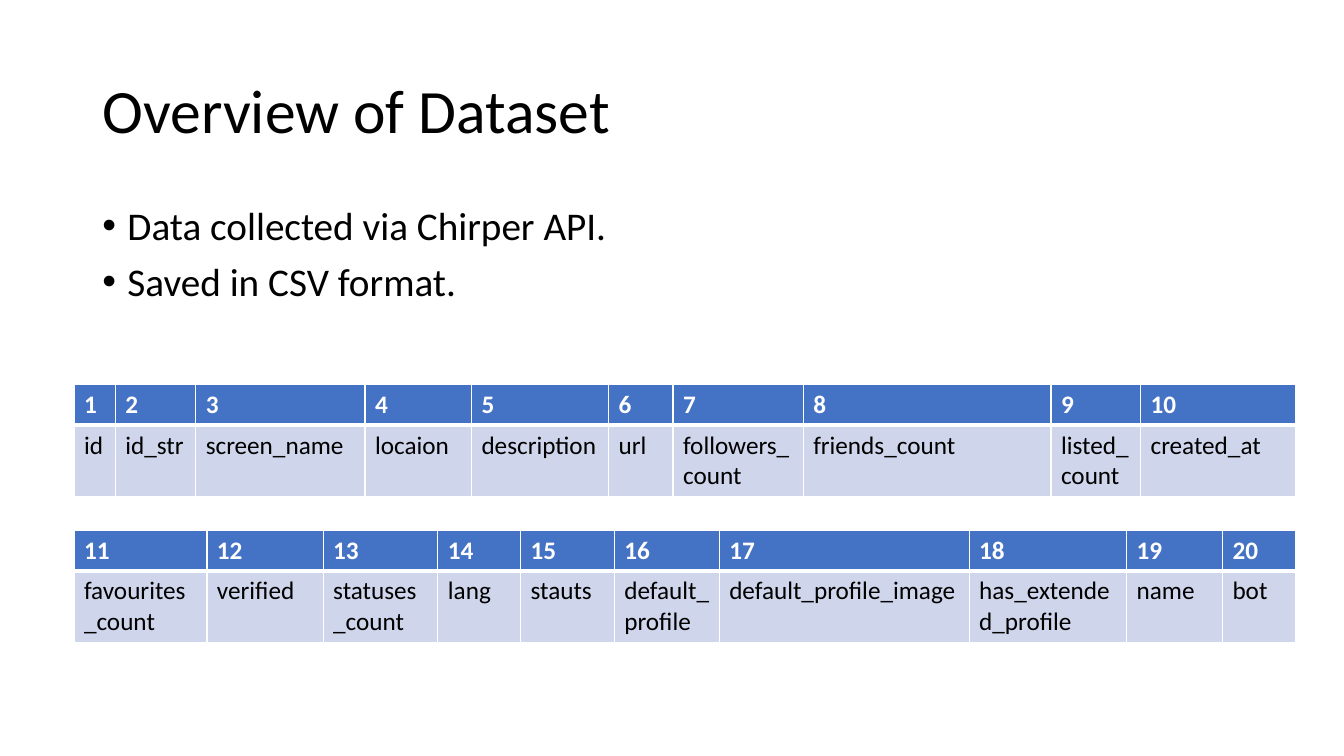
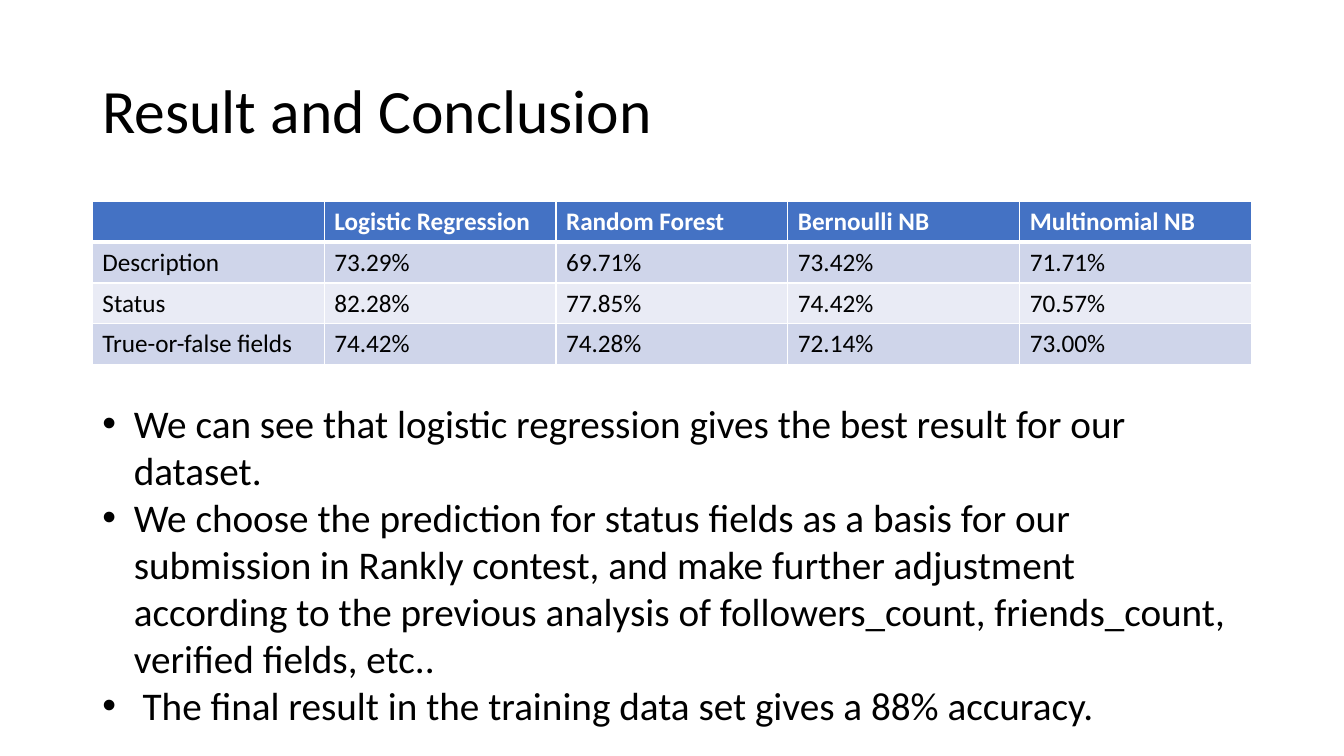
from dataclasses import dataclass

from lxml import etree
from pptx import Presentation
from pptx.dml.color import RGBColor
from pptx.enum.text import MSO_ANCHOR, MSO_AUTO_SIZE, PP_ALIGN
from pptx.oxml.ns import qn
from pptx.slide import Slide
from pptx.table import _Cell
from pptx.text.text import TextFrame, _Paragraph
from pptx.util import Pt

MIDDLE, TOP = MSO_ANCHOR.MIDDLE, MSO_ANCHOR.TOP
NO_FIT = MSO_AUTO_SIZE.NONE
LEFT = PP_ALIGN.LEFT

# Shared style
BLACK = RGBColor(0x00, 0x00, 0x00)
WHITE = RGBColor(0xFF, 0xFF, 0xFF)
HEADER_BLUE = RGBColor(0x44, 0x72, 0xC4)
BANDS = (RGBColor(0xCF, 0xD5, 0xEA), RGBColor(0xE9, 0xEB, 0xF5))
FONT = "Calibri"
TITLE_SIZE, BODY_SIZE, TABLE_SIZE = 44, 28, 18
MARGIN, CONTENT_WIDTH = 66, 828
ROW_HEIGHT = 29.2
THIN_RULE, HEADER_RULE = 1, 3
TITLE_ONLY = 5


@dataclass(frozen=True)
class Grid:
    left: float
    top: float
    widths: tuple[float, ...]
    rows: tuple[tuple[str, ...], ...]


@dataclass(frozen=True)
class BulletList:
    top: float
    width: float
    height: float
    indent: float
    items: tuple[str, ...]
    line_spacing: float = 1.0
    space_before: float = 0


@dataclass(frozen=True)
class Page:
    title: str
    grids: tuple[Grid, ...]
    bullets: BulletList


def add_span(para: _Paragraph, text: str, size: float,
             color: RGBColor = BLACK, bold: bool = False) -> None:
    span = para.add_run()
    span.text = text
    span.font.name = FONT
    span.font.size = Pt(size)
    span.font.bold = bold
    span.font.color.rgb = color


def set_frame(frame: TextFrame, anchor: MSO_ANCHOR) -> None:
    frame.word_wrap = True
    frame.auto_size = NO_FIT
    frame.vertical_anchor = anchor


def set_bullet(para: _Paragraph, indent: float) -> None:
    properties = para._p.get_or_add_pPr()
    properties.set("marL", str(Pt(indent)))
    properties.set("indent", str(-Pt(indent)))
    etree.SubElement(properties, qn("a:buFont"), typeface="Arial")
    etree.SubElement(properties, qn("a:buChar"), char="•")


def set_borders(cell: _Cell, top: float, bottom: float) -> None:
    properties = cell._tc.get_or_add_tcPr()
    sides = {"L": THIN_RULE, "R": THIN_RULE, "T": top, "B": bottom}
    for position, (side, width) in enumerate(sides.items()):
        line = etree.Element(qn(f"a:ln{side}"), w=str(Pt(width)))
        fill = etree.SubElement(line, qn("a:solidFill"))
        etree.SubElement(fill, qn("a:srgbClr"), val=str(WHITE))
        properties.insert(position, line)


def add_title(slide: Slide, text: str) -> None:
    title = slide.shapes.title
    title.left, title.top = Pt(MARGIN), Pt(28.75)
    title.width, title.height = Pt(CONTENT_WIDTH), Pt(104.4)
    set_frame(title.text_frame, MIDDLE)
    para = title.text_frame.paragraphs[0]
    para.alignment = LEFT
    para.line_spacing = 0.9
    add_span(para, text, TITLE_SIZE)


def add_grid(slide: Slide, grid: Grid) -> None:
    table = slide.shapes.add_table(
        len(grid.rows), len(grid.widths), Pt(grid.left), Pt(grid.top),
        Pt(sum(grid.widths)), Pt(ROW_HEIGHT * len(grid.rows))).table
    for column, width in zip(table.columns, grid.widths):
        column.width = Pt(width)
    for row_index, texts in enumerate(grid.rows):
        table.rows[row_index].height = Pt(ROW_HEIGHT)
        is_header = row_index == 0
        for column_index, text in enumerate(texts):
            cell = table.cell(row_index, column_index)
            cell.fill.solid()
            cell.fill.fore_color.rgb = (
                HEADER_BLUE if is_header else BANDS[(row_index - 1) % 2])
            set_borders(cell,
                        top=HEADER_RULE if row_index == 1 else THIN_RULE,
                        bottom=HEADER_RULE if is_header else THIN_RULE)
            if text:
                add_span(cell.text_frame.paragraphs[0], text, TABLE_SIZE,
                         WHITE if is_header else BLACK, is_header)


def add_bullets(slide: Slide, bullets: BulletList) -> None:
    box = slide.shapes.add_textbox(Pt(MARGIN), Pt(bullets.top),
                                   Pt(bullets.width), Pt(bullets.height))
    frame = box.text_frame
    set_frame(frame, TOP)
    for index, text in enumerate(bullets.items):
        para = frame.add_paragraph() if index else frame.paragraphs[0]
        para.line_spacing = bullets.line_spacing
        para.space_before = Pt(bullets.space_before)
        set_bullet(para, bullets.indent)
        add_span(para, text, BODY_SIZE)


# Content
FIELDS_LEFT = 52.8
PAGES = (
    Page(
        "Overview of Dataset",
        (
            Grid(FIELDS_LEFT, 274.4,
                 (29.5, 57.5, 121, 76, 98, 46, 93, 177, 64, 111),
                 (tuple(str(number) for number in range(1, 11)),
                  ("id", "id_str", "screen_name", "locaion", "description",
                   "url", "followers_count", "friends_count", "listed_count",
                   "created_at"))),
            Grid(FIELDS_LEFT, 378.6,
                 (95, 83, 82, 59, 67, 75, 178.5, 112.5, 68.5, 52.5),
                 (tuple(str(number) for number in range(11, 21)),
                  ("favourites_count", "verified", "statuses_count", "lang",
                   "stauts", "default_profile", "default_profile_image",
                   "has_extended_profile", "name", "bot"))),
        ),
        BulletList(143.75, CONTENT_WIDTH, 95, 18,
                   ("Data collected via Chirper API.",
                    "Saved in CSV format."),
                   line_spacing=0.9, space_before=10),
    ),
    Page(
        "Result and Conclusion",
        (
            Grid(MARGIN, 143.75, (CONTENT_WIDTH / 5,) * 5,
                 (("", "Logistic Regression", "Random Forest",
                   "Bernoulli NB", "Multinomial NB"),
                  ("Description", "73.29%", "69.71%", "73.42%", "71.71%"),
                  ("Status", "82.28%", "77.85%", "74.42%", "70.57%"),
                  ("True-or-false fields", "74.42%", "74.28%", "72.14%",
                   "73.00%"))),
        ),
        BulletList(281.5, 824.5, 244.8, 22.5,
                   ("We can see that logistic regression gives the best "
                    "result for our dataset.",
                    "We choose the prediction for status fields as a basis "
                    "for our submission in Rankly contest, and make further "
                    "adjustment according to the previous analysis of "
                    "followers_count, friends_count, verified fields, etc..",
                    " The final result in the training data set gives a 88% "
                    "accuracy.")),
    ),
)

# Build
deck = Presentation()
deck.slide_width, deck.slide_height = Pt(960), Pt(540)
for page in PAGES:
    slide = deck.slides.add_slide(deck.slide_layouts[TITLE_ONLY])
    add_title(slide, page.title)
    for grid in page.grids:
        add_grid(slide, grid)
    add_bullets(slide, page.bullets)
deck.save("out.pptx")
